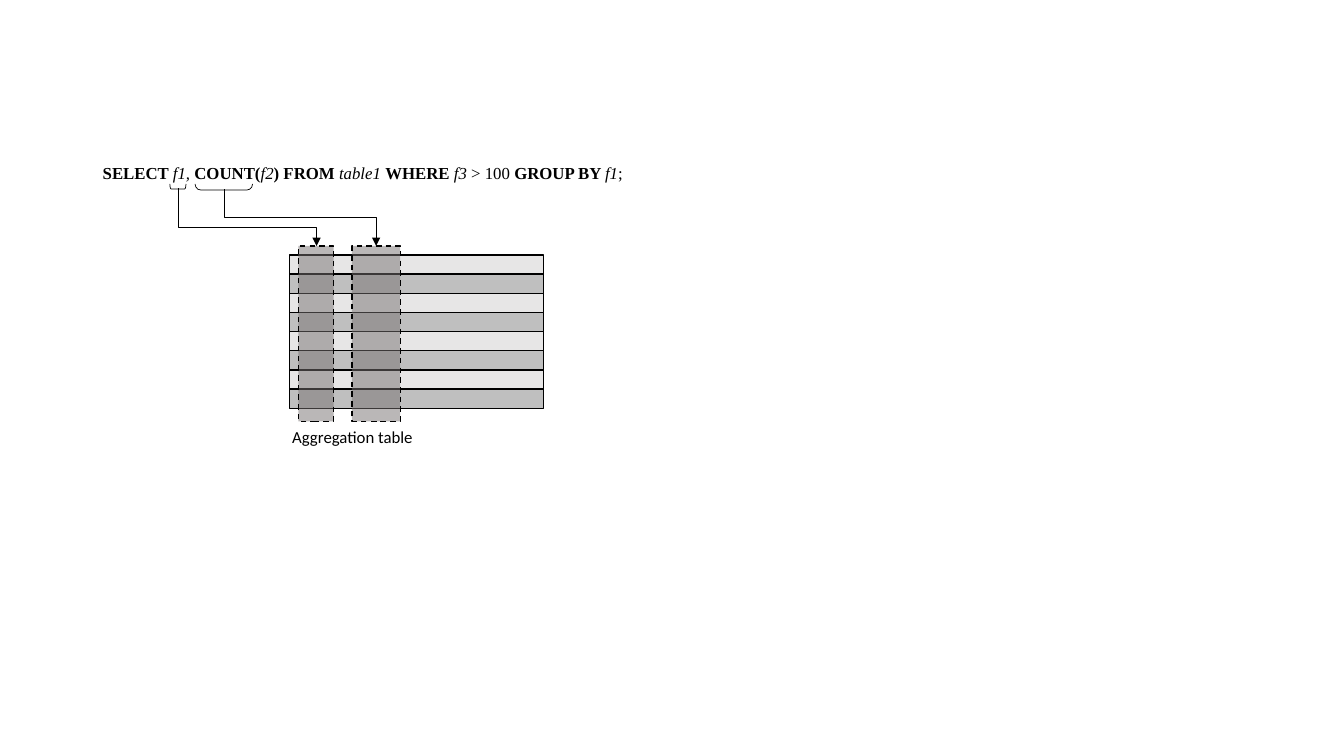
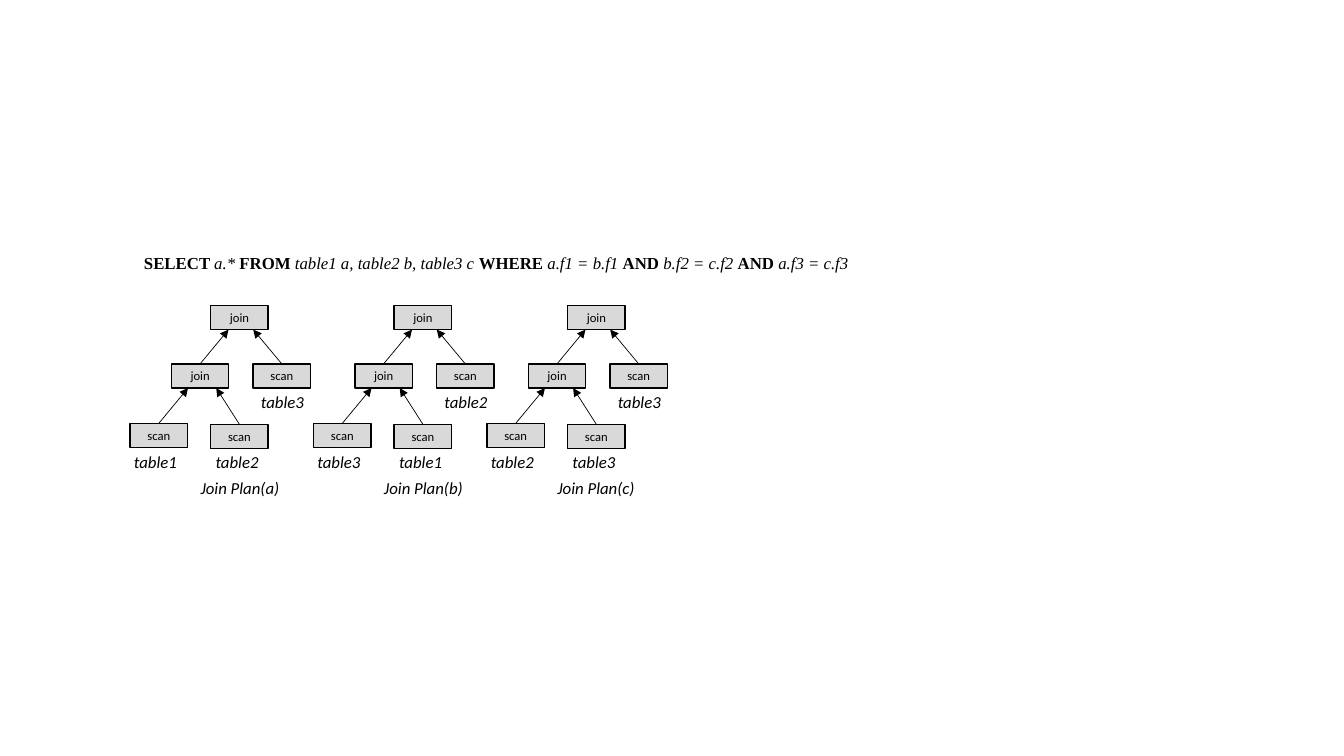
from typing import NamedTuple

from lxml.etree import SubElement
from pptx import Presentation
from pptx.dml.color import RGBColor
from pptx.enum.dml import MSO_LINE
from pptx.enum.shapes import MSO_CONNECTOR as Link, MSO_SHAPE as Preset
from pptx.enum.text import MSO_ANCHOR, MSO_AUTO_SIZE, PP_ALIGN
from pptx.oxml.ns import qn
from pptx.shapes.autoshape import Shape
from pptx.shapes.connector import Connector
from pptx.slide import Slide
from pptx.util import Inches, Pt

BLACK = "000000"
LIGHT_ROW, DARK_ROW = "E7E6E6", "BFBFBF"
COLUMN_FILL, NODE_FILL = "767171", "D9D9D9"
SANS, SERIF = "Calibri", "Times New Roman"
TEXT_SIZE, NODE_SIZE = 12, 9
BORDER, THIN = 1, 0.5
TEXT_HEIGHT = 0.3


class Box(NamedTuple):
    left: float
    top: float
    width: float
    height: float


class Span(NamedTuple):
    """A piece of a query: b is a keyword, i an identifier, empty is plain."""
    text: str
    style: str = ""


class Bracket(NamedTuple):
    box: Box
    curve: float


class Route(NamedTuple):
    """A path going down, across and down; bend is the share of the first leg."""
    start: tuple[float, float]
    end: tuple[float, float]
    bend: float


class Node(NamedTuple):
    """A plan step; dx is measured from the leftmost step of its plan."""
    text: str
    dx: float
    top: float


class Edge(NamedTuple):
    """An arrow from a child's top to a share of its parent's bottom edge."""
    child: Node
    parent: Node
    share: float


class Plan(NamedTuple):
    caption: str
    left: float
    tables: tuple[str, str, str]


AGGREGATE_QUERY = [
    Span("SELECT ", "b"), Span("f1, ", "i"), Span("COUNT(", "b"), Span("f2", "i"),
    Span(") FROM ", "b"), Span("table1 ", "i"), Span("WHERE ", "b"), Span("f3 ", "i"),
    Span("> 100 "), Span("GROUP BY ", "b"), Span("f1", "i"), Span(";"),
]
JOIN_QUERY = [
    Span("SELECT ", "b"), Span("a.* ", "i"), Span("FROM ", "b"),
    Span("table1 a, table2 b, table3 c ", "i"), Span("WHERE ", "b"),
    Span("a.f1 = b.f1 ", "i"), Span("AND ", "b"), Span("b.f2 = c.f2 ", "i"),
    Span("AND ", "b"), Span("a.f3 = c.f3", "i"),
]

ROW_COUNT = 8
FIRST_ROW = Box(2.87, 2.53, 2.52, 0.19)
COLUMNS = [Box(3.49, 2.44, 0.48, 1.74), Box(2.96, 2.44, 0.35, 1.74)]
BRACKETS = [
    Bracket(Box(2.19, 1.57, 0.06, 0.57), 0.95),
    Bracket(Box(1.74, 1.77, 0.05, 0.16), 0.27),
]
ROUTES = [
    Route((2.22, 1.88), (3.73, 2.44), 0.5),
    Route((1.77, 1.87), (3.14, 2.44), 0.68),
]

NODE_WIDTH, NODE_HEIGHT = 0.57, 0.24
ROOT = Node("join", 0.8, 3.03)
INNER = Node("join", 0.41, 3.61)
LEFT_LEAF = Node("scan", 0, 4.2)
RIGHT_LEAF = Node("scan", 0.8, 4.21)
OUTER_LEAF = Node("scan", 1.22, 3.61)
NODES = [ROOT, INNER, OUTER_LEAF, LEFT_LEAF, RIGHT_LEAF]
EDGES = [
    Edge(LEFT_LEAF, INNER, 0.29),
    Edge(RIGHT_LEAF, INNER, 0.78),
    Edge(OUTER_LEAF, ROOT, 0.74),
    Edge(INNER, ROOT, 0.31),
]
TABLE_LABELS = [(-0.06, 4.43), (0.75, 4.43), (1.2, 3.84)]
PLANS = [
    Plan("Join Plan(a)", 1.29, ("table1", "table2", "table3")),
    Plan("Join Plan(b)", 3.11, ("table3", "table1", "table2")),
    Plan("Join Plan(c)", 4.83, ("table2", "table3", "table3")),
]


def rgb(color: str) -> RGBColor:
    return RGBColor.from_string(color)


def set_line(item: Shape | Connector, width: float) -> None:
    item.line.color.rgb = rgb(BLACK)
    item.line.width = Pt(width)


def set_font(font, size: float, name: str, italic: bool = False) -> None:
    font.size, font.name, font.italic = Pt(size), name, italic
    font.color.rgb = rgb(BLACK)


def add_shape(shapes, preset: Preset, box: Box, fill: str | None, width: float) -> Shape:
    shape = shapes.add_shape(preset, *map(Inches, box))
    shape.shadow.inherit = False
    if fill:
        shape.fill.solid()
        shape.fill.fore_color.rgb = rgb(fill)
    else:
        shape.fill.background()
    set_line(shape, width)
    return shape


def add_text(slide: Slide, box: Box, spans: list[Span], font: str, wrap: bool = False) -> None:
    frame = slide.shapes.add_textbox(*map(Inches, box)).text_frame
    frame.word_wrap = wrap
    frame.auto_size = MSO_AUTO_SIZE.SHAPE_TO_FIT_TEXT
    paragraph = frame.paragraphs[0]
    italic = all(span.style == "i" for span in spans)
    for span in spans:
        run = paragraph.add_run()
        run.text = span.text
        if len(spans) > 1:
            run.font.bold = span.style == "b"
            run.font.italic = span.style == "i"
    set_font(paragraph.font, TEXT_SIZE, font, italic)


def add_arrow(slide: Slide, kind: Link, start: tuple[float, float],
              end: tuple[float, float]) -> Connector:
    arrow = slide.shapes.add_connector(kind, *map(Inches, (*start, *end)))
    set_line(arrow, THIN)
    SubElement(arrow.line._get_or_add_ln(), qn("a:tailEnd"), type="triangle")
    SubElement(arrow._element.spPr, qn("a:effectLst"))
    return arrow


def add_route(slide: Slide, route: Route) -> None:
    """Draw the elbow on its side, then turn it so that it leaves downwards."""
    (x1, y1), (x2, y2) = route.start, route.end
    middle_x, middle_y = (x1 + x2) / 2, (y1 + y2) / 2
    half_width, half_height = (y2 - y1) / 2, (x2 - x1) / 2
    arrow = add_arrow(slide, Link.ELBOW,
                      (middle_x + half_width, middle_y - half_height),
                      (middle_x - half_width, middle_y + half_height))
    properties = arrow._element.spPr
    properties.find(qn("a:xfrm")).set("rot", str(270 * 60000))
    guides = properties.find(qn("a:prstGeom")).get_or_add_avLst()
    SubElement(guides, qn("a:gd"), name="adj1", fmla=f"val {round(route.bend * 100000)}")


def add_column(slide: Slide, box: Box) -> None:
    column = add_shape(slide.shapes, Preset.RECTANGLE, box, COLUMN_FILL, BORDER)
    column.line.dash_style = MSO_LINE.DASH
    color = column._element.spPr.find(qn("a:solidFill")).find(qn("a:srgbClr"))
    SubElement(color, qn("a:alpha"), val="50000")


def add_node(slide: Slide, node: Node, plan_left: float) -> None:
    box = Box(plan_left + node.dx, node.top, NODE_WIDTH, NODE_HEIGHT)
    frame = add_shape(slide.shapes, Preset.RECTANGLE, box, NODE_FILL, BORDER).text_frame
    frame.vertical_anchor = MSO_ANCHOR.MIDDLE
    paragraph = frame.paragraphs[0]
    paragraph.text = node.text
    paragraph.alignment = PP_ALIGN.CENTER
    set_font(paragraph.font, NODE_SIZE, SANS)


def add_plan(slide: Slide, plan: Plan) -> None:
    for node in NODES:
        add_node(slide, node, plan.left)
    for child, parent, share in EDGES:
        add_arrow(slide, Link.STRAIGHT,
                  (plan.left + child.dx + NODE_WIDTH / 2, child.top),
                  (plan.left + parent.dx + NODE_WIDTH * share, parent.top + NODE_HEIGHT))
    for table, (dx, top) in zip(plan.tables, TABLE_LABELS):
        add_text(slide, Box(plan.left + dx, top, 0.63, TEXT_HEIGHT), [Span(table, "i")], SANS)
    add_text(slide, Box(plan.left + 0.6, 4.69, 0.99, TEXT_HEIGHT),
             [Span(plan.caption, "i")], SANS)


def build_aggregation(slide: Slide) -> None:
    rows = slide.shapes.add_group_shape().shapes
    for index in range(ROW_COUNT):
        box = FIRST_ROW._replace(top=FIRST_ROW.top + index * FIRST_ROW.height)
        add_shape(rows, Preset.RECTANGLE, box, DARK_ROW if index % 2 else LIGHT_ROW, BORDER)
    add_text(slide, Box(0.92, 1.57, 5.38, TEXT_HEIGHT), AGGREGATE_QUERY, SERIF, wrap=True)
    for column in COLUMNS:
        add_column(slide, column)
    for bracket in BRACKETS:
        brace = add_shape(slide.shapes, Preset.LEFT_BRACKET, bracket.box, None, THIN)
        brace.rotation = 270
        brace.adjustments[0] = bracket.curve
    for route in ROUTES:
        add_route(slide, route)
    add_text(slide, Box(2.8, 4.18, 1.41, TEXT_HEIGHT), [Span("Aggregation table")], SANS)


def build_join_plans(slide: Slide) -> None:
    add_text(slide, Box(1.33, 2.46, 7.27, TEXT_HEIGHT), JOIN_QUERY, SERIF)
    for plan in PLANS:
        add_plan(slide, plan)


def main() -> None:
    deck = Presentation()
    deck.slide_width, deck.slide_height = Inches(13.33), Inches(7.5)
    blank = deck.slide_layouts[6]
    for build in (build_aggregation, build_join_plans):
        build(deck.slides.add_slide(blank))
    deck.save("out.pptx")


if __name__ == "__main__":
    main()
